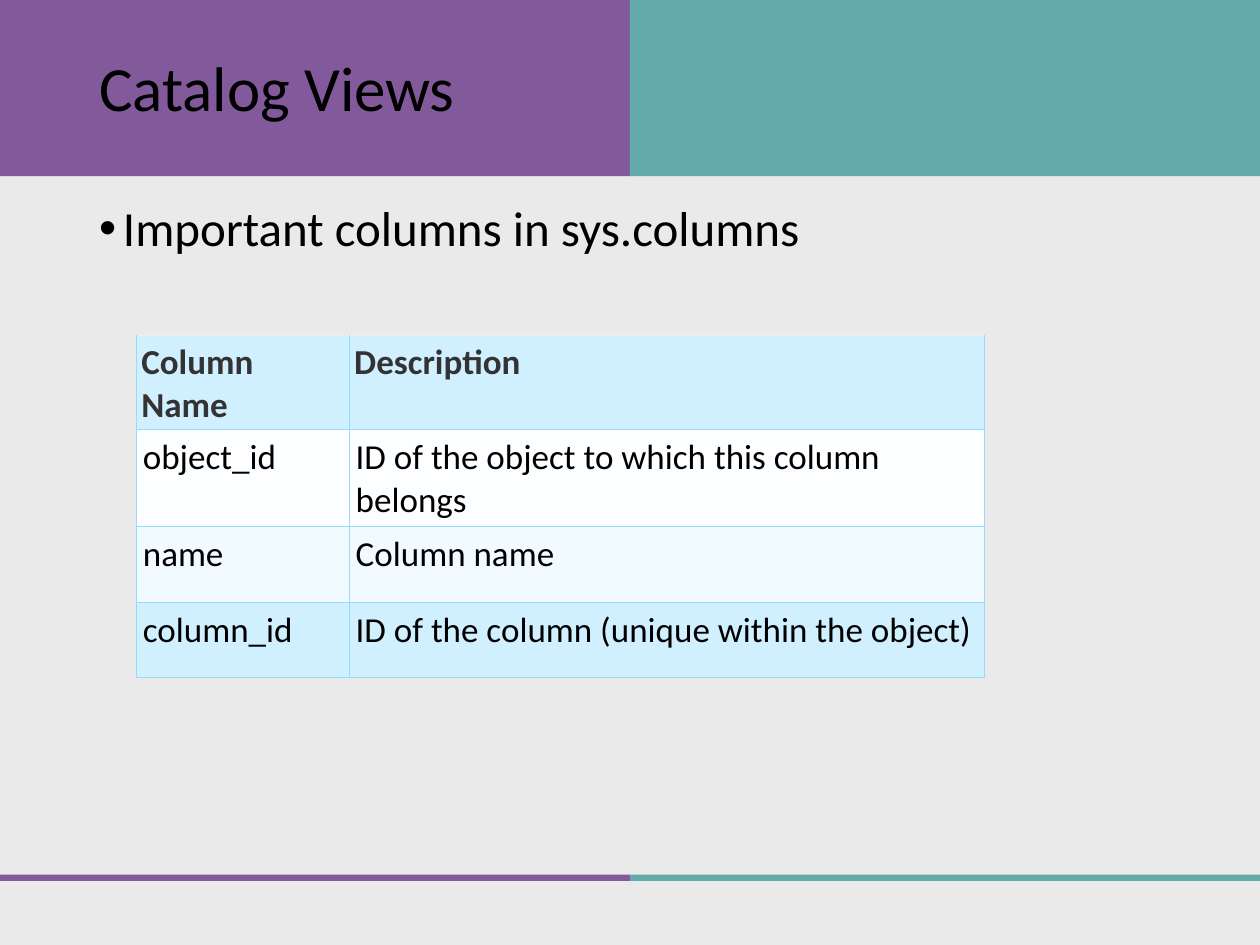
from pptx import Presentation
from pptx.dml.color import RGBColor
from pptx.enum.shapes import MSO_SHAPE
from pptx.enum.text import MSO_ANCHOR
from pptx.oxml.ns import qn
from pptx.util import Cm, Pt
from lxml.etree import SubElement

PURPLE, TEAL = "825A9B", "64AAAA"
HEADER_FILL, GRID, HEADER_TOP = "D1F0FF", "94DBFF", "EEEEEE"
SLIDE_WIDTH, SLIDE_HEIGHT = 25.4, 19.05
ROWS = [
    ("Column Name", "Description"),
    ("object_id", "ID of the object to which this column belongs"),
    ("name", "Column name"),
    ("column_id", "ID of the column (unique within the object)"),
]
ROW_FILLS = [HEADER_FILL, "FCFEFF", "F0FAFF", HEADER_FILL]
ROW_HEIGHTS = [1.42, 1.52, 1.52, 1.52]
COLUMN_WIDTHS = [4.29, 12.8]


def color(value):
    return RGBColor.from_string(value)


def set_fill(target, value):
    target.fill.solid()
    target.fill.fore_color.rgb = color(value)


def write(paragraph, text, size, text_color="000000", bold=False):
    run = paragraph.add_run()
    run.text = text
    formats = {"name": "Calibri", "size": Pt(size), "bold": bold}
    for name, value in formats.items():
        setattr(run.font, name, value)
    run.font.color.rgb = color(text_color)


def add_band(slide, top, height):
    """Draw a full-width band, half purple and half teal."""
    half = SLIDE_WIDTH / 2
    for index, fill in enumerate((PURPLE, TEAL)):
        shape = slide.shapes.add_shape(
            MSO_SHAPE.RECTANGLE, Cm(index * half), Cm(top), Cm(half), Cm(height))
        shape.shadow.inherit = False
        set_fill(shape, fill)
        shape.line.fill.background()


def add_text(slide, top, height, text, size, anchor):
    """Add a one-paragraph text box at the common margins; return the paragraph."""
    shape = slide.shapes.add_textbox(Cm(1.75), Cm(top), Cm(21.9), Cm(height))
    frame = shape.text_frame
    frame.word_wrap = True
    frame.vertical_anchor = anchor
    paragraph = frame.paragraphs[0]
    paragraph.line_spacing = 0.9
    write(paragraph, text, size)
    return paragraph


def add_bullet(paragraph):
    properties = paragraph._p.get_or_add_pPr()
    properties.set("marL", str(Cm(0.48)))
    properties.set("indent", str(-Cm(0.48)))
    SubElement(properties, qn("a:buFont"), typeface="Arial")
    SubElement(properties, qn("a:buChar"), char="•")


def set_borders(cell, top_color):
    properties = cell._tc.get_or_add_tcPr()
    sides = {"lnL": GRID, "lnR": GRID, "lnT": top_color, "lnB": GRID}
    for position, (side, value) in enumerate(sides.items()):
        line = SubElement(properties, qn(f"a:{side}"), w=str(Pt(0.75)))
        SubElement(SubElement(line, qn("a:solidFill")), qn("a:srgbClr"), val=value)
        properties.insert(position, line)


def format_cell(cell, text, fill, is_header):
    margin = Cm(0.1 if is_header else 0.13)
    for side in ("left", "right", "top", "bottom"):
        setattr(cell, f"margin_{side}", margin)
    set_fill(cell, fill)
    set_borders(cell, HEADER_TOP if is_header else GRID)
    write(cell.text_frame.paragraphs[0], text, 20,
          "333333" if is_header else "000000", is_header)


def add_columns_table(slide):
    table = slide.shapes.add_table(
        len(ROWS), len(COLUMN_WIDTHS), Cm(2.75), Cm(6.77),
        Cm(sum(COLUMN_WIDTHS)), Cm(sum(ROW_HEIGHTS))).table
    for column, width in zip(table.columns, COLUMN_WIDTHS):
        column.width = Cm(width)
    for index, (row, height) in enumerate(zip(table.rows, ROW_HEIGHTS)):
        row.height = Cm(height)
        for cell, text in zip(row.cells, ROWS[index]):
            format_cell(cell, text, ROW_FILLS[index], index == 0)


def main():
    presentation = Presentation()
    presentation.slide_width = Cm(SLIDE_WIDTH)
    presentation.slide_height = Cm(SLIDE_HEIGHT)
    slide = presentation.slides.add_slide(presentation.slide_layouts[6])
    set_fill(slide.background, "EAEAEA")
    add_band(slide, 0, 3.55)
    add_band(slide, 17.63, 0.13)
    add_text(slide, 0.56, 2.54, "Catalog Views", 36, MSO_ANCHOR.MIDDLE)
    bullet = add_text(slide, 3.99, 13.16, "Important columns in sys.columns", 28,
                      MSO_ANCHOR.TOP)
    bullet.space_before = Pt(7.5)
    add_bullet(bullet)
    add_columns_table(slide)
    presentation.save("out.pptx")


if __name__ == "__main__":
    main()
